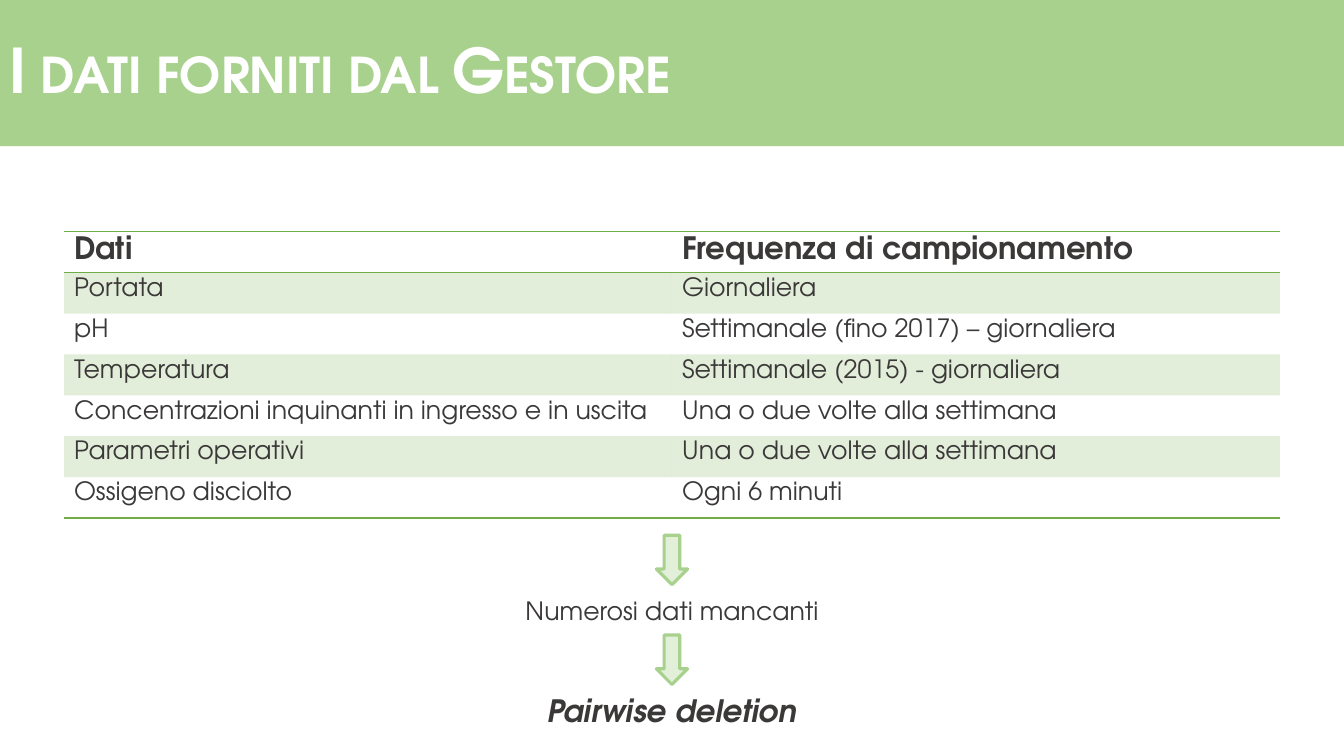
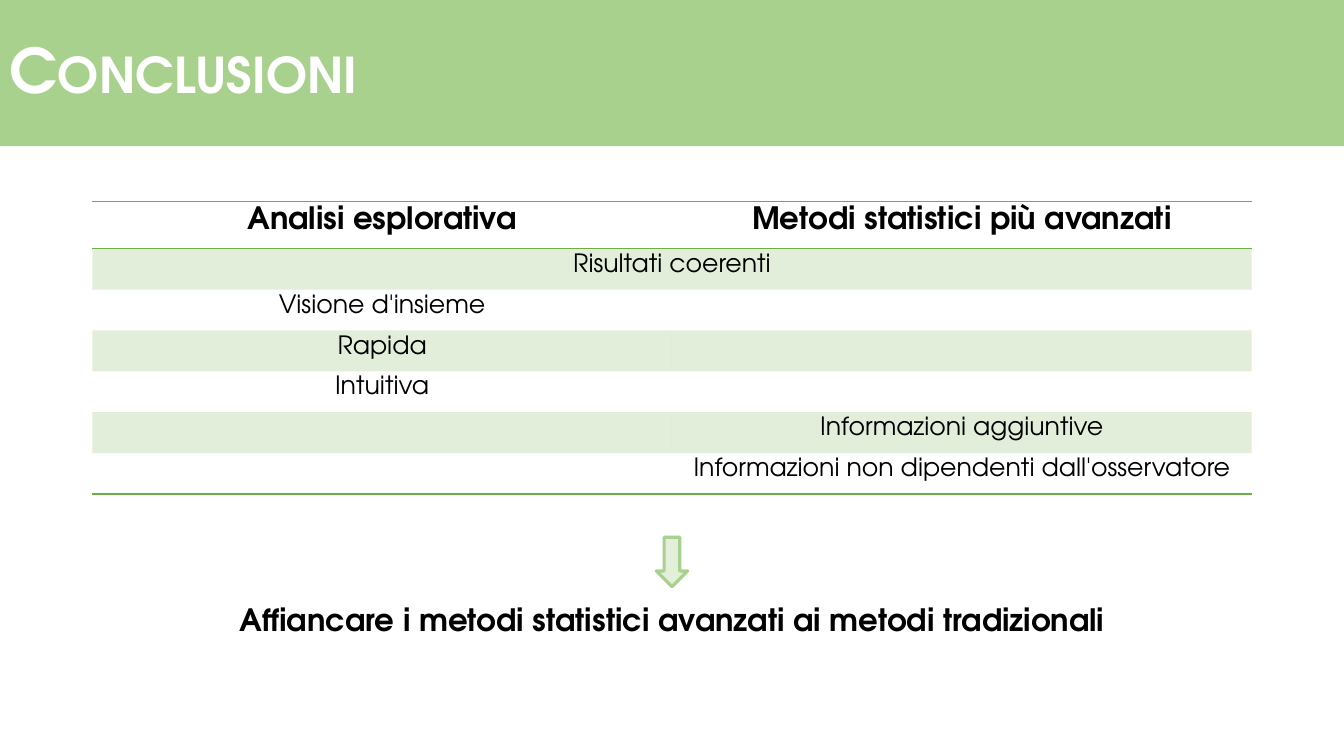
from lxml import etree
from pptx import Presentation
from pptx.dml.color import RGBColor
from pptx.enum.shapes import MSO_SHAPE as Shape
from pptx.enum.text import MSO_ANCHOR as Anchor, PP_ALIGN as Align
from pptx.oxml.ns import qn
from pptx.util import Inches, Pt

FONT = "TeX Gyre Adventor"
WHITE = RGBColor(0xFF, 0xFF, 0xFF)
BLACK = RGBColor(0x00, 0x00, 0x00)
CHARCOAL = RGBColor(0x3B, 0x38, 0x38)
GREEN = RGBColor(0x70, 0xAD, 0x47)
BAND_GREEN = RGBColor(0xA9, 0xD1, 0x8E)
PALE_GREEN = RGBColor(0xE2, 0xF0, 0xD9)

SLIDE_WIDTH, SLIDE_HEIGHT = Inches(13.33), Inches(7.5)
TITLE_HEIGHT = Inches(1.45)
ROW_HEIGHT = Pt(29.2)
ARROW_WIDTH, ARROW_HEIGHT = Inches(0.31), Inches(0.49)
HEAD_SIZE, BODY_SIZE = 22, 18
PLAIN_TABLE_STYLE = "{2D5ABB26-0587-4C30-8999-92F81FD0307C}"

DATA_ROWS = [
    ("Dati", "Frequenza di campionamento"),
    ("Portata", "Giornaliera"),
    ("pH", "Settimanale (fino 2017) – giornaliera"),
    ("Temperatura", "Settimanale (2015) - giornaliera"),
    ("Concentrazioni inquinanti in ingresso e in uscita",
     "Una o due volte alla settimana"),
    ("Parametri operativi", "Una o due volte alla settimana"),
    ("Ossigeno disciolto", "Ogni 6 minuti"),
]
# A row with one entry spans both columns
CONCLUSION_ROWS = [
    ("Analisi esplorativa", "Metodi statistici più avanzati"),
    ("Risultati coerenti",),
    ("Visione d'insieme", ""),
    ("Rapida", ""),
    ("Intuitiva", ""),
    ("", "Informazioni aggiuntive"),
    ("", "Informazioni non dipendenti dall'osservatore"),
]


def write(text_frame, text, size, color, align=Align.LEFT, bold=False, italic=False):
    """Fill a text frame with one styled paragraph and return it."""
    paragraph = text_frame.paragraphs[0]
    paragraph.text = text
    paragraph.alignment = align
    font = paragraph.font
    font.name, font.size, font.color.rgb = FONT, Pt(size), color
    font.bold, font.italic = bold, italic
    return paragraph


def add_filled_shape(slide, kind, box, fill, line=None):
    shape = slide.shapes.add_shape(kind, *box)
    shape.shadow.inherit = False
    shape.fill.solid()
    shape.fill.fore_color.rgb = fill
    if line is None:
        shape.line.fill.background()
    else:
        shape.line.color.rgb = line
        shape.line.width = Pt(2.25)
    return shape


def add_titled_slide(presentation, title):
    """Blank slide with the title band across the top."""
    slide = presentation.slides.add_slide(presentation.slide_layouts[6])
    band = add_filled_shape(slide, Shape.RECTANGLE,
                            (0, 0, SLIDE_WIDTH, TITLE_HEIGHT), BAND_GREEN)
    band.text_frame.vertical_anchor = Anchor.MIDDLE
    paragraph = write(band.text_frame, title, 44, WHITE, bold=True)
    paragraph.line_spacing = 0.9
    paragraph.runs[0]._r.get_or_add_rPr().set("cap", "small")
    return slide


def add_border(cell, side):
    """Draw a thin green rule on one side of a cell (lnT or lnB)."""
    line = etree.SubElement(cell._tc.get_or_add_tcPr(), qn(f"a:{side}"), w=str(Pt(1)))
    fill = etree.SubElement(line, qn("a:solidFill"))
    etree.SubElement(fill, qn("a:srgbClr"), val=str(GREEN))


def fill_cell(cell, banded):
    if not banded:
        cell.fill.background()
        return
    cell.fill.solid()
    cell.fill.fore_color.rgb = GREEN
    color = cell._tc.tcPr.find(f"{qn('a:solidFill')}/{qn('a:srgbClr')}")
    etree.SubElement(color, qn("a:alpha"), val="20000")


def add_banded_table(slide, rows, top, width, color, align):
    """Two-column table, centred on the slide, with every other row tinted."""
    column_count, last = len(rows[0]), len(rows) - 1
    frame = slide.shapes.add_table(len(rows), column_count, (SLIDE_WIDTH - width) // 2,
                                   top, width, ROW_HEIGHT * len(rows))
    table = frame.table
    table.first_row = table.horz_banding = False
    table._tbl.tblPr.find(qn("a:tableStyleId")).text = PLAIN_TABLE_STYLE
    for row, texts in enumerate(rows):
        header = row == 0
        for column in range(column_count):
            cell = table.cell(row, column)
            if header:
                add_border(cell, "lnT")
            if row in (0, last):
                add_border(cell, "lnB")
            fill_cell(cell, banded=row % 2 == 1)
            if column < len(texts):
                write(cell.text_frame, texts[column],
                      HEAD_SIZE if header else BODY_SIZE, color, align, bold=header)
        if len(texts) < column_count:
            table.cell(row, 0).merge(table.cell(row, column_count - 1))


def add_step(slide, arrow_top, text_top, width, text, size, color, **style):
    """Down arrow with a centred statement below it."""
    add_filled_shape(slide, Shape.DOWN_ARROW,
                     ((SLIDE_WIDTH - ARROW_WIDTH) // 2, arrow_top,
                      ARROW_WIDTH, ARROW_HEIGHT), PALE_GREEN, BAND_GREEN)
    height = Inches(0.47 if size == HEAD_SIZE else 0.4)
    box = slide.shapes.add_textbox((SLIDE_WIDTH - width) // 2, text_top, width, height)
    box.text_frame.word_wrap = True
    write(box.text_frame, text, size, color, Align.CENTER, **style)


def build_data_slide(presentation):
    slide = add_titled_slide(presentation, "I dati forniti dal Gestore")
    add_banded_table(slide, DATA_ROWS, Inches(2.3), Inches(12.06), CHARCOAL, Align.LEFT)
    add_step(slide, Inches(5.31), Inches(5.86), Inches(3.28),
             "Numerosi dati mancanti", BODY_SIZE, CHARCOAL)
    add_step(slide, Inches(6.3), Inches(6.81), Inches(2.8),
             "Pairwise deletion", HEAD_SIZE, CHARCOAL, bold=True, italic=True)


def build_conclusion_slide(presentation):
    slide = add_titled_slide(presentation, "Conclusioni")
    add_banded_table(slide, CONCLUSION_ROWS, Inches(2), Inches(11.5), BLACK, Align.CENTER)
    add_step(slide, Inches(5.33), Inches(5.91), Inches(8.82),
             "Affiancare i metodi statistici avanzati ai metodi tradizionali",
             HEAD_SIZE, BLACK, bold=True)


def main():
    presentation = Presentation()
    presentation.slide_width, presentation.slide_height = SLIDE_WIDTH, SLIDE_HEIGHT
    build_data_slide(presentation)
    build_conclusion_slide(presentation)
    presentation.save("out.pptx")


if __name__ == "__main__":
    main()
